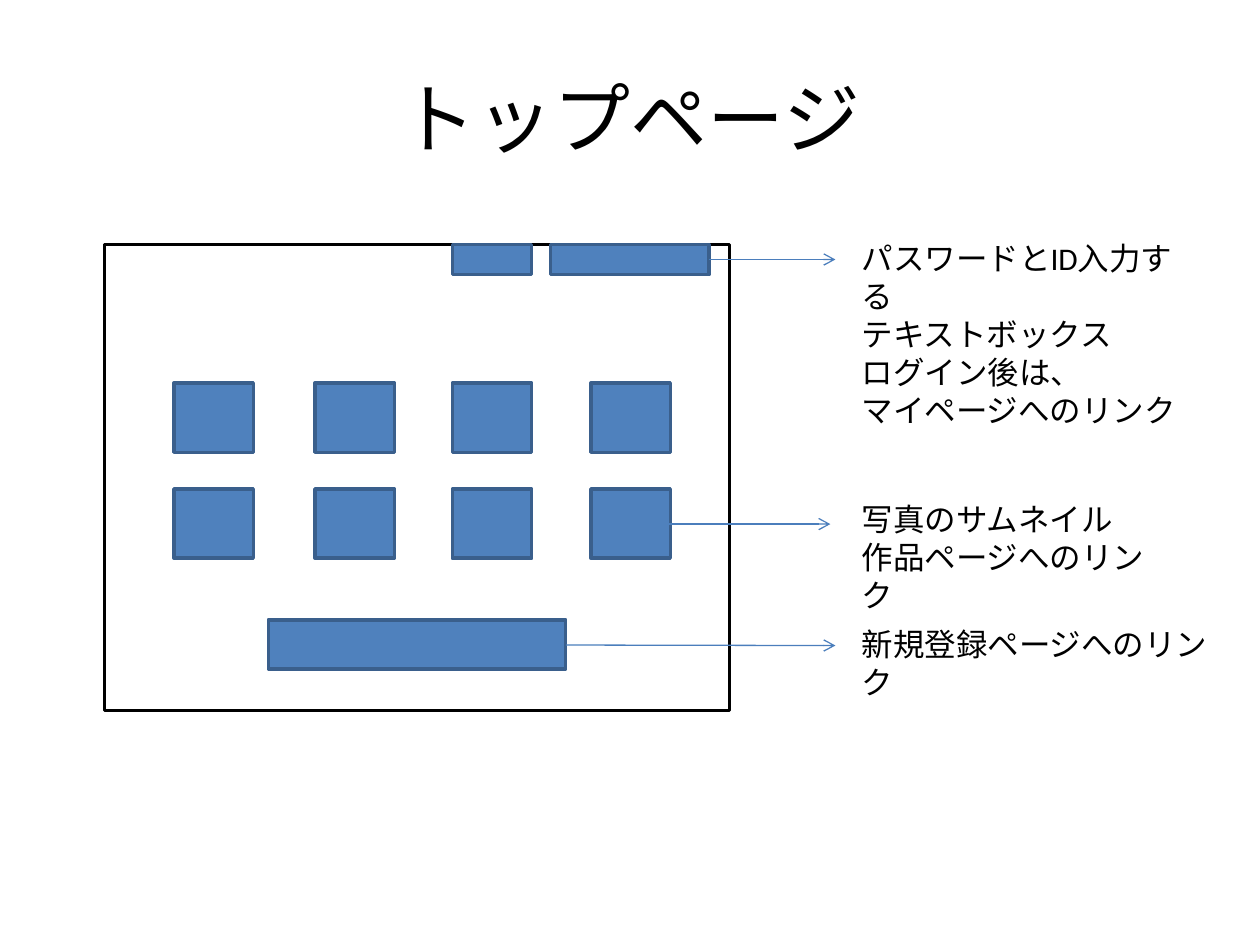
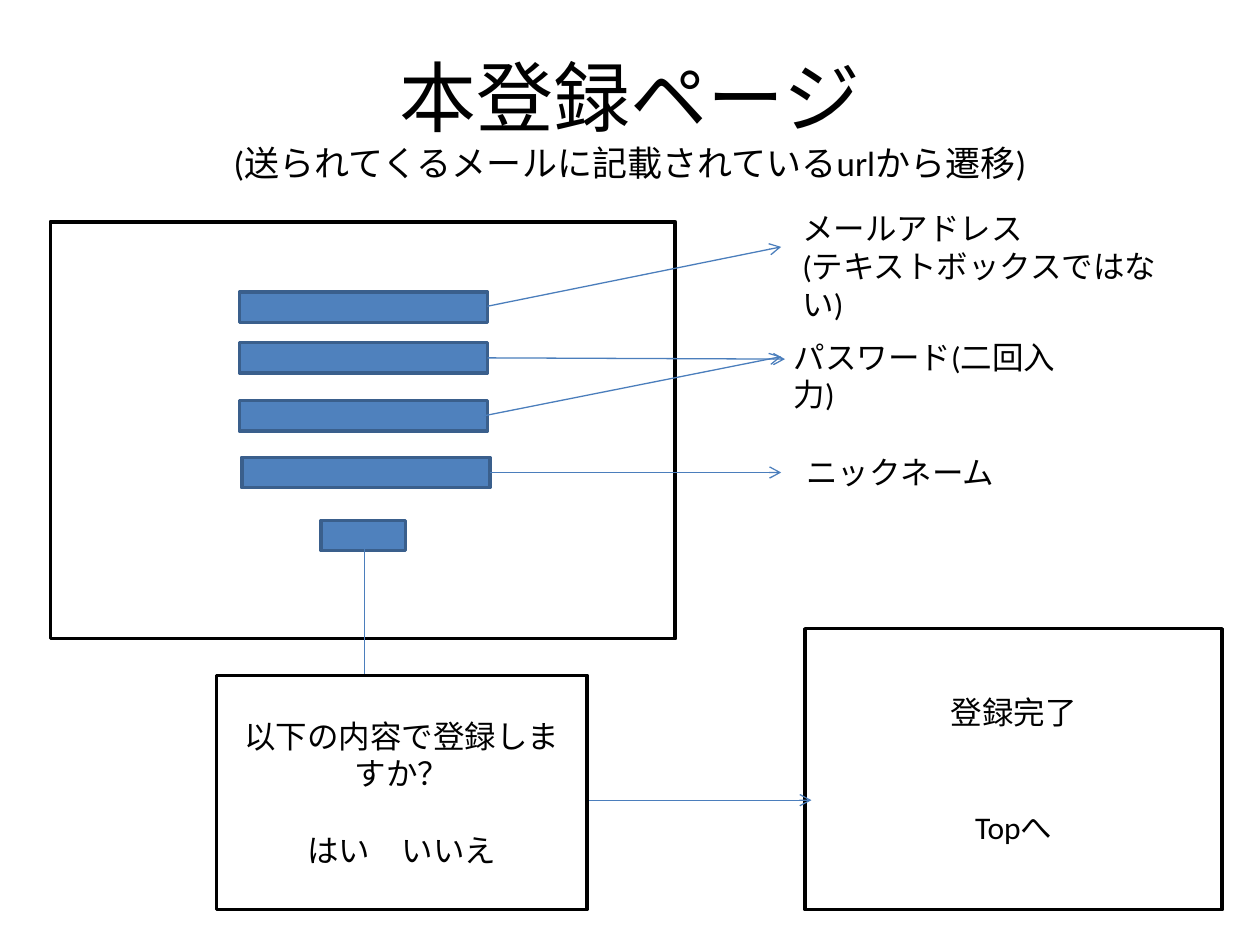
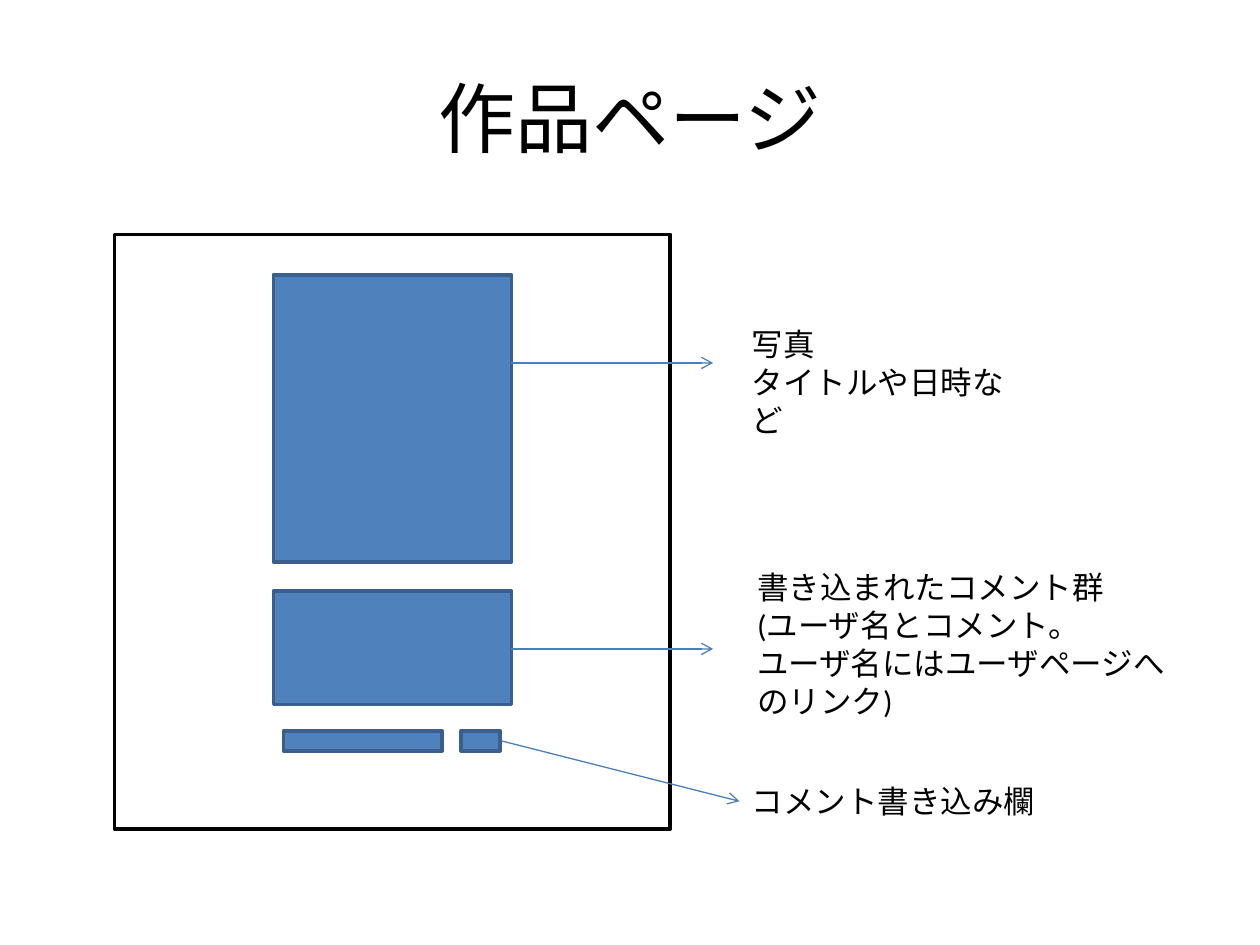
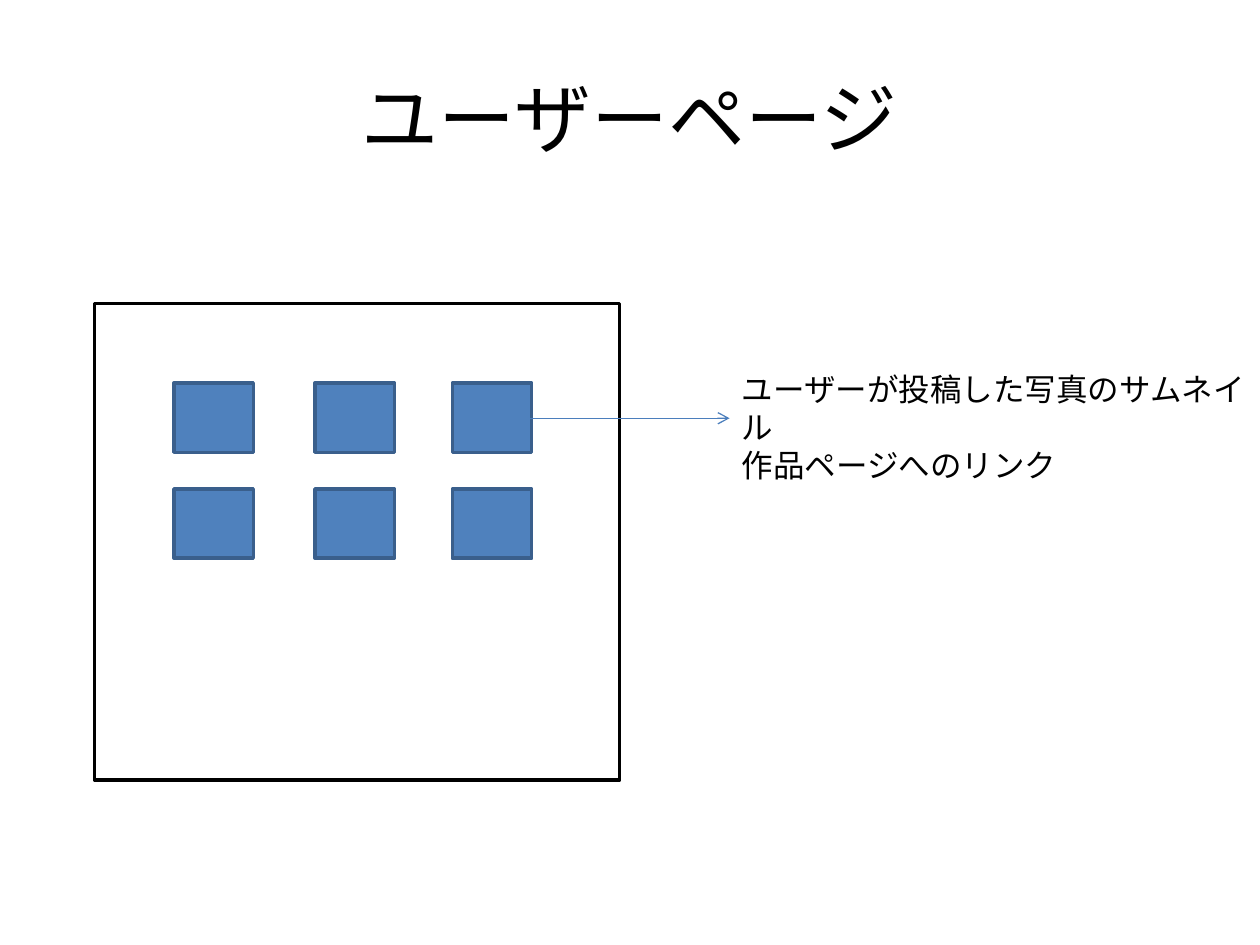
from dataclasses import dataclass

from lxml.etree import SubElement
from pptx import Presentation
from pptx.dml.color import RGBColor
from pptx.enum.shapes import MSO_CONNECTOR, MSO_SHAPE
from pptx.enum.text import MSO_ANCHOR, PP_ALIGN
from pptx.oxml.ns import qn
from pptx.shapes.connector import Connector
from pptx.util import Pt


@dataclass(frozen=True)
class Theme:
    ink: RGBColor = RGBColor(0x00, 0x00, 0x00)
    paper: RGBColor = RGBColor(0xFF, 0xFF, 0xFF)
    block: RGBColor = RGBColor(0x4F, 0x81, 0xBD)
    block_edge: RGBColor = RGBColor(0x3A, 0x5F, 0x8C)
    arrow: RGBColor = RGBColor(0x4B, 0x7E, 0xBC)
    font: str = "Calibri"
    title_size: float = 44
    subtitle_size: float = 20
    note_size: float = 18
    edge_width: float = 2
    arrow_width: float = 0.75


theme = Theme()


def write_text(text_frame, text, size=theme.note_size, align=PP_ALIGN.LEFT,
               anchor=MSO_ANCHOR.TOP, last_gap=0):
    """Newlines split paragraphs, vertical tabs break lines."""
    text_frame.text = text
    text_frame.word_wrap = True
    text_frame.vertical_anchor = anchor
    for paragraph in text_frame.paragraphs:
        paragraph.alignment = align
        for run in paragraph.runs:
            run.font.name = theme.font
            run.font.size = Pt(size)
            run.font.color.rgb = theme.ink
    if last_gap:
        text_frame.paragraphs[-1].space_before = Pt(last_gap)


def add_box(slide, bounds, fill, edge):
    shape = slide.shapes.add_shape(MSO_SHAPE.RECTANGLE, *map(Pt, bounds))
    shape.shadow.inherit = False
    shape.fill.solid()
    shape.fill.fore_color.rgb = fill
    shape.line.color.rgb = edge
    shape.line.width = Pt(theme.edge_width)
    return shape


# Thumbnail grid shared by the top page and the user page
columns = (99.4, 180, 258.5, 337.7)
rows = (218.9, 279.4)
thumbnails = [(left, top, 45.4, 39.6) for top in rows for left in columns]

# Each page: bounds are left, top, width, height; arrows run from x, y to x, y
pages = [
    {
        "title": "トップページ",
        "frame": (59.8, 139.7, 357.1, 266.4),
        "blocks": thumbnails + [
            (258.5, 139.7, 45.4, 17.3),
            (314.6, 139.7, 90.7, 17.3),
            (153.4, 354.2, 169.9, 28.1),
        ],
        "arrows": [
            (405.4, 148.3, 477.4, 148.3),
            (323.3, 368.6, 477.4, 368.9),
            (382.3, 299.5, 474.5, 299.5),
        ],
        "notes": [
            ("パスワードとID入力する\vテキストボックス\nログイン後は、\nマイページへのリンク",
             (485.3, 133.2, 201.6, 94.3)),
            ("新規登録ページへのリンク", (485.3, 353.5, 218.2, 28.8)),
            ("写真のサムネイル\n作品ページへのリンク", (485.3, 282.2, 182.2, 51.1)),
        ],
    },
    {
        "title": "本登録ページ\v(送られてくるメールに記載されているurlから遷移)",
        "frame": (28.8, 126.7, 357.1, 238.3),
        "blocks": [
            (136.8, 167, 141.8, 17.3),
            (136.8, 195.8, 141.8, 17.3),
            (136.8, 229, 141.8, 17.3),
            (138.2, 261.4, 141.8, 17.3),
            (183.6, 297.4, 48.2, 17.3),
        ],
        "arrows": [
            (278.6, 175, 446.4, 141.1),
            (276.5, 237.6, 446.4, 203.8),
            (278.6, 204.5, 448.6, 205.2),
            (280.1, 270, 446.4, 270),
        ],
        "notes": [
            ("メールアドレス\n(テキストボックスではない)", (451.4, 115.9, 217.4, 51.1)),
            ("パスワード(二回入力)", (446.4, 189.4, 180.7, 28.8)),
            ("ニックネーム", (453.6, 255.6, 170.6, 28.8)),
        ],
    },
    {
        "title": "作品ページ",
        "frame": (65.5, 133.9, 317.5, 339.8),
        "blocks": [
            (156.2, 157, 136.1, 164.2),
            (156.2, 337.7, 136.1, 64.8),
            (162, 417.6, 90.7, 11.5),
            (263.5, 417.6, 22.3, 11.5),
        ],
        "arrows": [
            (286.6, 423.4, 422.6, 457.9),
            (292.3, 207.4, 407.5, 207.4),
            (292.3, 370.8, 407.5, 370.8),
        ],
        "notes": [
            ("写真\nタイトルや日時など", (422.6, 182.2, 160.6, 51.1)),
            ("コメント書き込み欄", (422.6, 443.5, 209.5, 28.8)),
            ("書き込まれたコメント群\n(ユーザ名とコメント。\nユーザ名にはユーザページへのリンク)",
             (425.5, 321.1, 250.6, 94.3)),
        ],
    },
    {
        "title": "ユーザーページ",
        "frame": (54, 173.5, 300.2, 272.2),
        "blocks": [bounds for bounds in thumbnails if bounds[0] < columns[-1]],
        "arrows": [(303.1, 239, 416.9, 239)],
        "notes": [
            ("ユーザーが投稿した写真のサムネイル\n作品ページへのリンク",
             (416.9, 208.1, 311, 51.1)),
        ],
    },
]

presentation = Presentation()
presentation.slide_width, presentation.slide_height = Pt(720), Pt(540)
title_only = presentation.slide_layouts[5]

# Page wireframes with their notes
for page in pages:
    slide = presentation.slides.add_slide(title_only)
    title = slide.shapes.title
    title.left, title.top, title.width, title.height = map(Pt, (36, 21.6, 648, 90))
    write_text(title.text_frame, page["title"], size=theme.title_size,
               align=PP_ALIGN.CENTER, anchor=MSO_ANCHOR.MIDDLE)
    for run in title.text_frame.paragraphs[0].runs[1:]:
        run.font.size = Pt(theme.subtitle_size)

    add_box(slide, page["frame"], theme.paper, theme.ink)
    for bounds in page["blocks"]:
        add_box(slide, bounds, theme.block, theme.block_edge)
    for ends in page["arrows"]:
        slide.shapes.add_connector(MSO_CONNECTOR.STRAIGHT, *map(Pt, ends))
    for text, bounds in page["notes"]:
        note = slide.shapes.add_textbox(*map(Pt, bounds))
        write_text(note.text_frame, text)

# Registration dialogs: the bent arrow passes behind the confirmation
registration = presentation.slides[1]
done = add_box(registration, (460.1, 359.3, 238.3, 160.6), theme.paper, theme.ink)
write_text(done.text_frame, "登録完了\nTopへ", align=PP_ALIGN.CENTER,
           anchor=MSO_ANCHOR.MIDDLE, last_gap=44)

bent_arrow = registration.shapes.add_connector(
    MSO_CONNECTOR.ELBOW, Pt(407.5), Pt(257.8), Pt(264.2), Pt(513.4))
properties = bent_arrow.element.spPr
properties.find(qn("a:xfrm")).set("rot", str(270 * 60000))
properties.find(qn("a:prstGeom")).set("prst", "bentConnector2")

confirmation = add_box(registration, (123.8, 385.9, 211.7, 133.9), theme.paper, theme.ink)
write_text(confirmation.text_frame, "以下の内容で登録しますか？\nはい　いいえ",
           align=PP_ALIGN.CENTER, anchor=MSO_ANCHOR.MIDDLE, last_gap=22)

# One style for every arrow
for slide in presentation.slides:
    for shape in slide.shapes:
        if isinstance(shape, Connector):
            shape.line.color.rgb = theme.arrow
            shape.line.width = Pt(theme.arrow_width)
            properties = shape.element.spPr
            SubElement(properties.find(qn("a:ln")), qn("a:tailEnd"), type="arrow")
            SubElement(properties, qn("a:effectLst"))

presentation.save("out.pptx")
